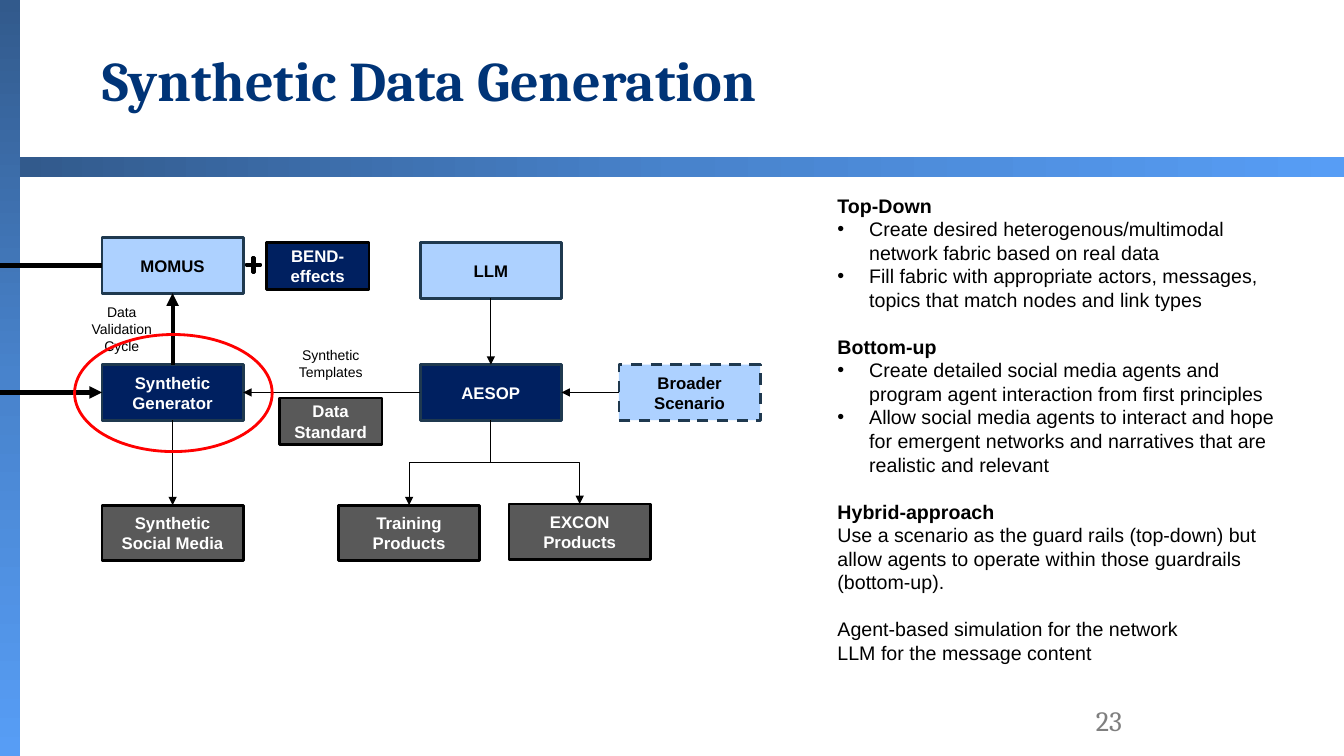
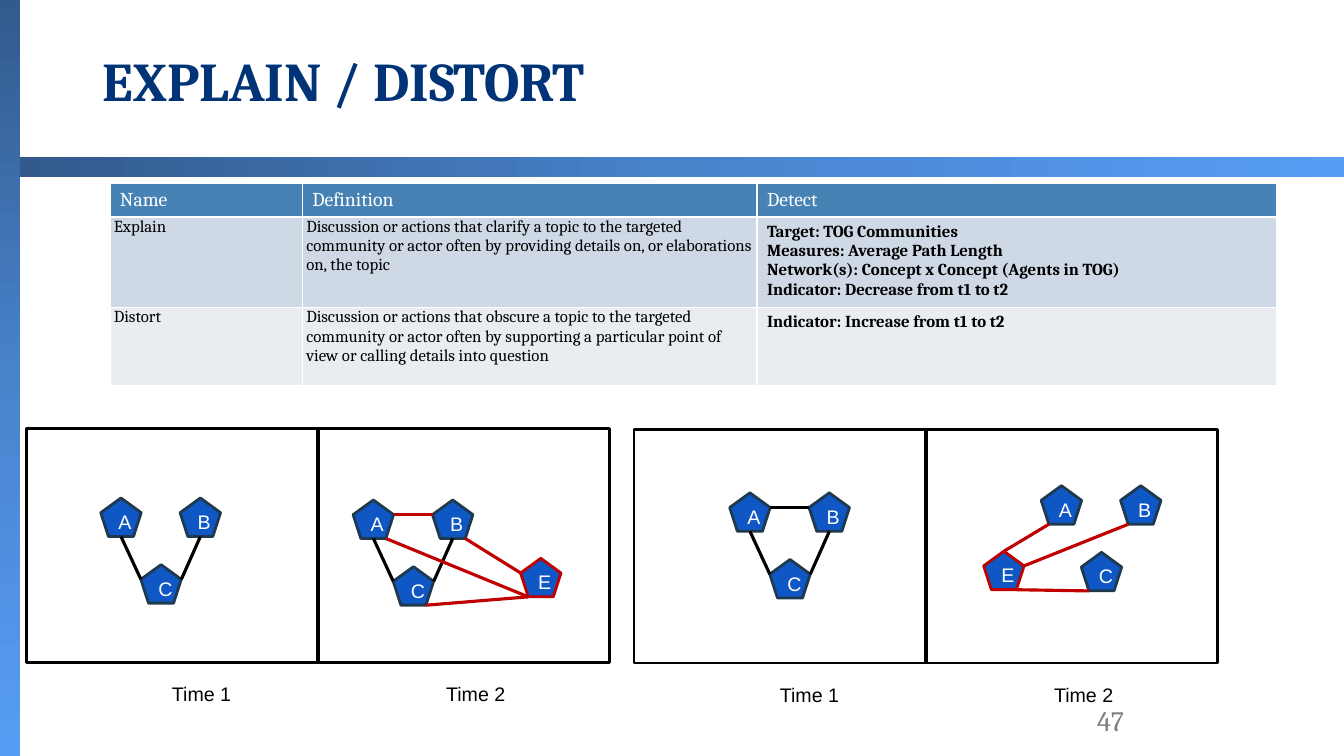
"""Build two slides: a synthetic data pipeline and a table with network sketches."""
from copy import deepcopy
from lxml import etree
from pptx import Presentation, util as u
from pptx.dml.color import RGBColor
from pptx.enum import dml, shapes, text
from pptx.oxml.ns import qn

KIND, LINK = shapes.MSO_SHAPE, shapes.MSO_CONNECTOR
ALIGN, MID = text.PP_ALIGN, text.MSO_ANCHOR.MIDDLE
BLACK, WHITE, RED = "000000", "FFFFFF", "C00000"
NAVY, PALE, GREY, EDGE, BLUE = "002060", "ADD1FF", "595959", "1F394F", "0E57C4"
FADE = [(0, "325A8C"), (0.5, "4883CC"), (1, "579DF5")]
BANDS = [((0, 0, 0.51, 19.05), 270), ((0.51, 3.96, 33.36, 0.51), 0)]
TOP, LEFT, BOTTOM, RIGHT = range(4)

BIG, SMALL = (3.56, 1.4), (2.59, 1.17)
BOXES = {
    "aesop": ("AESOP", 10.59, 9.19, BIG, NAVY, EDGE),
    "momus": ("MOMUS", 2.57, 5.99, BIG, PALE, EDGE),
    "media": ("Synthetic Social Media", 2.57, 12.73, BIG, GREY, BLACK),
    "maker": ("Synthetic Generator", 2.57, 9.19, BIG, NAVY, EDGE),
    "scene": ("Broader Scenario", 15.6, 9.19, BIG, PALE, EDGE),
    "excon": ("EXCON Products", 12.83, 12.7, BIG, GREY, BLACK),
    "train": ("Training Products", 8.53, 12.73, BIG, GREY, BLACK),
    "llm": ("LLM", 10.59, 6.12, BIG, PALE, EDGE),
    "norm": ("Data\nStandard", 7.04, 10.03, SMALL, GREY, BLACK),
    "bend": ("BEND-effects", 6.71, 6.12, SMALL, NAVY, BLACK),
}
FLOWS = [
    ("maker", BOTTOM, "media", TOP, 0.75),
    ("maker", TOP, "momus", BOTTOM, 3),
    ("aesop", LEFT, "maker", RIGHT, 0.75),
    ("llm", BOTTOM, "aesop", TOP, 0.75),
    ("scene", LEFT, "aesop", RIGHT, 0.75),
]
NOTES = [("Synthetic Templates", (6.76, 8.61, 3.15, 1.12)),
         ("Data Validation\nCycle", (1.8, 7.52, 2.54, 1.55))]
HEAD, ITEM, PLAIN = "head", "item", "plain"
BODY = [
    [(HEAD, "Top-Down"),
     (ITEM, "Create desired heterogenous/multimodal network fabric based on real data"),
     (ITEM, "Fill fabric with appropriate actors, messages, topics that match nodes and link types")],
    [(HEAD, "Bottom-up"),
     (ITEM, "Create detailed social media agents and program agent interaction from first principles"),
     (ITEM, "Allow social media agents to interact and hope for emergent networks and narratives "
            "that are realistic and relevant")],
    [(HEAD, "Hybrid-approach"),
     (PLAIN, "Use a scenario as the guard rails (top-down) but allow agents to operate within "
             "those guardrails (bottom-up).")],
    [(PLAIN, "Agent-based simulation for the network"),
     (PLAIN, "LLM for the message content")],
]

ROWS = [
    ("Name", "Definition", "Detect"),
    ("Explain",
     "Discussion or actions that clarify a topic to the targeted community or actor often by "
     "providing details on, or elaborations on, the topic",
     "Target: TOG Communities\nMeasures: Average Path Length\n"
     "Network(s): Concept x Concept (Agents in TOG)\nIndicator: Decrease from t1 to t2"),
    ("Distort",
     "Discussion or actions that obscure a topic to the targeted community or actor often by "
     "supporting a particular point of view or calling details into question",
     "Indicator: Increase from t1 to t2"),
]
COLS, HIGHS = (4.85, 11.46, 13.08), (0.83, 2.19, 1.97)
FILLS = ("4682B4", "CFD8E5", "E9EDF2")

NODE = (1.02, 0.97)
SPOTS = {"A": (0, 0), "B": (2, 0), "C": (1.01, 1.68)}
SITES = {"top": (0.5, 0), "left": (0, 0.38), "right": (1, 0.38),
         "low": (0.5, 1), "lowleft": (0.19, 1), "lowright": (0.81, 1)}
AC = ("C", "left", "A", "low", BLACK)
BC = ("C", "right", "B", "low", BLACK)
NETS = [
    ((2.54, 12.55), None, [AC, BC]),
    ((8.9, 12.6), (4.22, 1.47), [
        AC, BC,
        ("B", "left", "A", "right", RED),
        ("C", "lowright", "E", "lowleft", RED),
        ("B", "lowright", "E", "left", RED),
        ("A", "lowright", "E", "lowleft", RED)]),
    ((18.39, 12.42), None, [AC, BC, ("B", "left", "A", "right", BLACK)]),
    ((26.24, 12.24), (-1.45, 1.65), [
        ("A", "lowleft", "E", "top", RED),
        ("C", "lowleft", "E", "lowright", RED),
        ("B", "lowleft", "E", "right", RED)]),
]
FRAMES, FRAME = [(0.66, 10.8), (15.98, 10.82)], (14.71, 5.89)
TIMES = [("Time 1", 4.42), ("Time 2", 11.33)]


def hue(code):
    """Turn a hex string into a colour."""
    return RGBColor.from_string(code)


def cm(vals):
    """Turn numbers into centimetre lengths."""
    return [u.Cm(v) for v in vals]


def put(obj, **vals):
    """Set each given attribute."""
    for key, val in vals.items():
        setattr(obj, key, val)


def style(para, size, color=BLACK, name="Arial", bold=False, **form):
    """Format a paragraph and its runs."""
    put(para, **form)
    for run in para.runs:
        put(run.font, size=u.Pt(size), name=name, bold=bold)
        run.font.color.rgb = hue(color)


def write(frame, words, size, **form):
    """Fill a text frame, one paragraph per line."""
    frame.text = words
    for para in frame.paragraphs:
        style(para, size, **form)


def label(slide, words, box, size, wrap=True, **form):
    """Add a text box."""
    frame = slide.shapes.add_textbox(*cm(box)).text_frame
    frame.word_wrap = wrap
    write(frame, words, size, **form)
    return frame


def shape(slide, kind, box, fill=None, line=None):
    """Add a flat shape."""
    item = slide.shapes.add_shape(kind, *cm(box))
    item.shadow.inherit = False
    if fill:
        item.fill.solid()
        item.fill.fore_color.rgb = hue(fill)
    else:
        item.fill.background()
    if line:
        item.line.color.rgb = hue(line)
        item.line.width = u.Pt(2)
    else:
        item.line.fill.background()
    return item


def block(slide, kind, box, fill, line, words, size, **form):
    """Add a shape with centred text."""
    item = shape(slide, kind, box, fill, line)
    item.text_frame.vertical_anchor = MID
    write(item.text_frame, words, size, alignment=ALIGN.CENTER, **form)
    return item


def link(slide, ends, width=2.25, color=BLACK, arrow=False, kind=LINK.STRAIGHT):
    """Add a line, with an arrowhead if asked."""
    item = slide.shapes.add_connector(kind, *ends)
    item.line.color.rgb = hue(color)
    item.line.width = u.Pt(width)
    props = item.element.spPr
    if arrow:
        etree.SubElement(props.find(qn("a:ln")), qn("a:tailEnd"), type="triangle")
    etree.SubElement(props, qn("a:effectLst"))
    return item


def drop(slide, start, end):
    """Add an elbow arrow that leaves downwards from one box to another."""
    x, y = start.left + start.width // 2, start.top + start.height
    dx, dy = end.left + end.width // 2 - x, end.top - y
    left = x + (dx - dy) // 2
    top = y + (dy - abs(dx)) // 2
    item = link(slide, (left, top, left + dy, top + abs(dx)), 0.75, BLACK, True, LINK.ELBOW)
    form = item.element.spPr.find(qn("a:xfrm"))
    form.set("rot", "5400000" if dx < 0 else "16200000")
    if dx > 0:
        form.set("flipH", "1")


def base(deck, layout, title, size, number, corner):
    """Add a slide with bands, title and number."""
    slide = deck.slides.add_slide(deck.slide_layouts[layout])
    for box, angle in BANDS:
        fill = (band := shape(slide, KIND.RECTANGLE, box)).fill
        fill.gradient()
        fill.gradient_angle = angle
        stops = band.element.spPr.find(".//" + qn("a:gsLst"))
        stops.append(deepcopy(stops[0]))
        for stop, (spot, code) in zip(fill.gradient_stops, FADE):
            stop.position = spot
            stop.color.rgb = hue(code)
    head = slide.shapes.title
    put(head, **dict(zip(("left", "top", "width", "height"), cm((2.34, 0.41, 29.21, 3.4)))))
    put(head.text_frame, vertical_anchor=MID, auto_size=text.MSO_AUTO_SIZE.NONE)
    write(head.text_frame, title, size, color="003477", name="Cambria", bold=True,
          alignment=ALIGN.LEFT, line_spacing=0.9)
    label(slide, number, (*corner, 4.6, 1.02), 20, color="7F7F7F", name="Cambria",
          alignment=ALIGN.RIGHT).vertical_anchor = MID
    return slide


def prose(slide):
    """Fill the body placeholder with headings, bullets and text."""
    body = slide.placeholders[1]
    put(body, **dict(zip(("left", "top", "width", "height"), cm((20.85, 4.75, 11.58, 13.41)))))
    frame = body.text_frame
    put(frame, auto_size=text.MSO_AUTO_SIZE.NONE, vertical_anchor=text.MSO_ANCHOR.TOP)
    lines = [(kind, words, bool(part) and not spot)
             for part, group in enumerate(BODY) for spot, (kind, words) in enumerate(group)]
    frame.text = "\n".join(words for _, words, _ in lines)
    for para, (kind, _, gap) in zip(frame.paragraphs, lines):
        props = para._p.get_or_add_pPr()
        dent = u.Cm(0.8) if kind == ITEM else 0
        props.set("marL", str(dent))
        props.set("indent", str(-dent))
        if kind == ITEM:
            etree.SubElement(props, qn("a:buChar"), char="•")
        else:
            etree.SubElement(props, qn("a:buNone"))
        style(para, 14, bold=kind == HEAD, space_before=u.Pt(16.8 if gap else 0))


def flow(deck):
    """Build the pipeline slide."""
    slide = base(deck, 1, "Synthetic Data Generation", 40, "23", (23.93, 17.65))
    made = {}
    for key, (words, x, y, size, fill, line) in BOXES.items():
        made[key] = block(slide, KIND.RECTANGLE, (x, y, *size), fill, line, words, 12,
                          color=BLACK if fill == PALE else WHITE, bold=True)
    made["scene"].line.dash_style = dml.MSO_LINE.DASH
    for start, out, end, into, width in FLOWS:
        item = link(slide, (0, 0, 0, 0), width, arrow=True)
        item.begin_connect(made[start], out)
        item.end_connect(made[end], into)
    for key in ("train", "excon"):
        drop(slide, made["aesop"], made[key])
    for key, arrow in (("momus", False), ("maker", True)):
        box = made[key]
        y = box.top + box.height // 2
        link(slide, (0, y, box.left, y), 3, arrow=arrow)
    for words, box in NOTES:
        label(slide, words, box, 10, alignment=ALIGN.CENTER)
    shape(slide, KIND.CROSS, (6.2, 6.48, 0.38, 0.38), BLACK, BLACK).adjustments[0] = 0.459
    shape(slide, KIND.OVAL, (1.88, 8.43, 4.98, 2.95), None, "FF0000")
    prose(slide)


def grid(slide):
    """Add the definition table."""
    table = slide.shapes.add_table(len(ROWS), len(COLS), *cm((2.77, 4.62, sum(COLS), sum(HIGHS)))).table
    for col, wide in zip(table.columns, COLS):
        col.width = u.Cm(wide)
    for r, row in enumerate(ROWS):
        table.rows[r].height = u.Cm(HIGHS[r])
        for c, words in enumerate(row):
            cell = table.cell(r, c)
            props = cell._tc.get_or_add_tcPr()
            for side in "LRTB":
                edge = etree.SubElement(props, qn("a:ln" + side), w=str(u.Pt(1)))
                paint = etree.SubElement(edge, qn("a:solidFill"))
                etree.SubElement(paint, qn("a:srgbClr"), val=WHITE)
            cell.fill.solid()
            cell.fill.fore_color.rgb = hue(FILLS[r])
            if r and c < 2:
                put(cell, margin_left=u.Cm(0.1), margin_right=u.Cm(0.1), margin_top=0, margin_bottom=0)
            write(cell.text_frame, words, 12 if r else 14, color=BLACK if r else WHITE,
                  name="Cambria", bold=r > 0 and c == 2)


def net(slide, start, extra, edges):
    """Draw one network of pentagons."""
    spots = {**SPOTS, "E": extra} if extra else SPOTS
    place = {key: (start[0] + x, start[1] + y) for key, (x, y) in spots.items()}
    for key, spot in place.items():
        block(slide, KIND.REGULAR_PENTAGON, (*spot, *NODE), BLUE,
              RED if key == "E" else EDGE, key, 14, color=WHITE)
    for one, out, two, into, color in edges:
        ends = [place[key][i] + SITES[site][i] * NODE[i]
                for key, site in ((one, out), (two, into)) for i in (0, 1)]
        link(slide, cm(ends), color=color)


def nets(deck):
    """Build the table and network slide."""
    slide = base(deck, 5, "EXPLAIN / DISTORT", 39, "47", (23.98, 17.63))
    grid(slide)
    wide, high = FRAME
    for x, y in FRAMES:
        shape(slide, KIND.RECTANGLE, (x, y, *FRAME), None, BLACK)
        link(slide, cm((x + wide / 2, y, x + wide / 2, y + high)))
        for words, mid in TIMES:
            label(slide, words, (x + mid - 1.02, y + 6.27, 2.04, 0.86), 14, False,
                  alignment=ALIGN.CENTER)
    for item in NETS:
        net(slide, *item)


def main():
    """Make and save the deck."""
    deck = Presentation()
    put(deck, slide_width=u.Cm(33.87), slide_height=u.Cm(19.05))
    flow(deck)
    nets(deck)
    deck.save("out.pptx")


if __name__ == "__main__":
    main()
